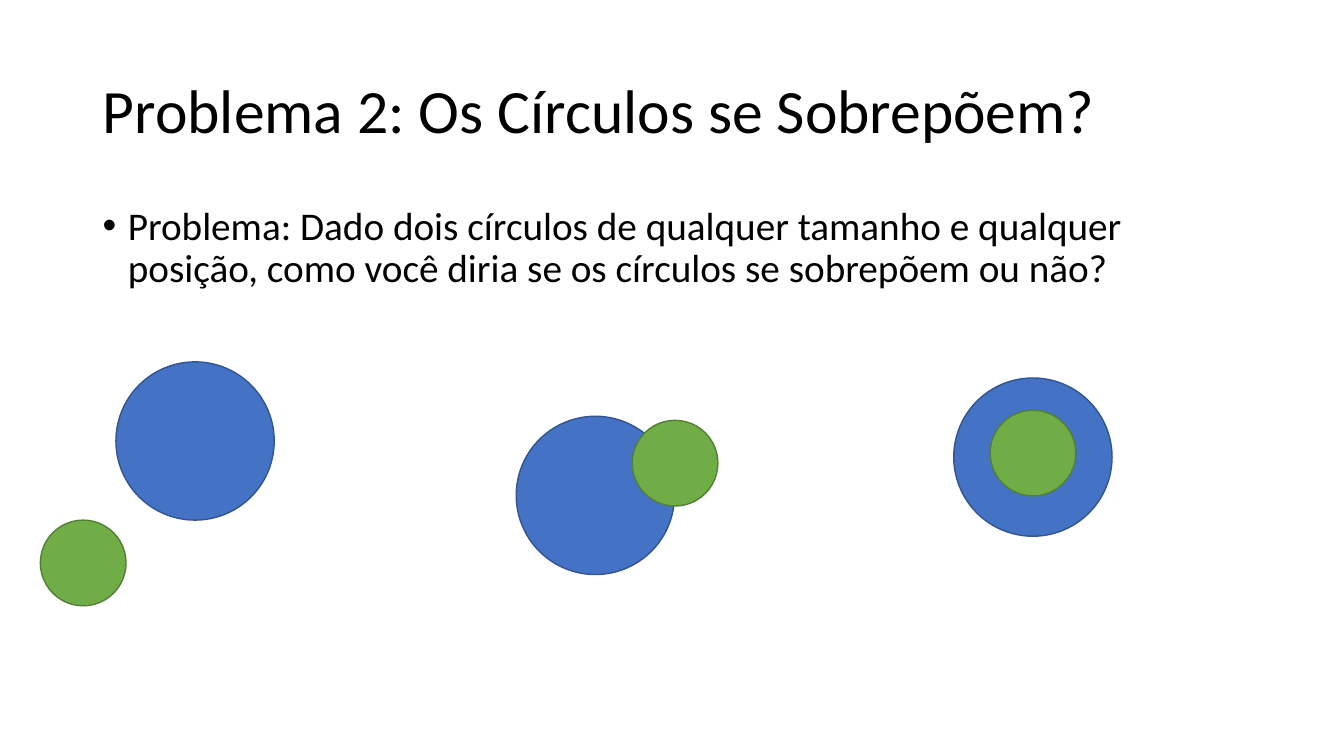
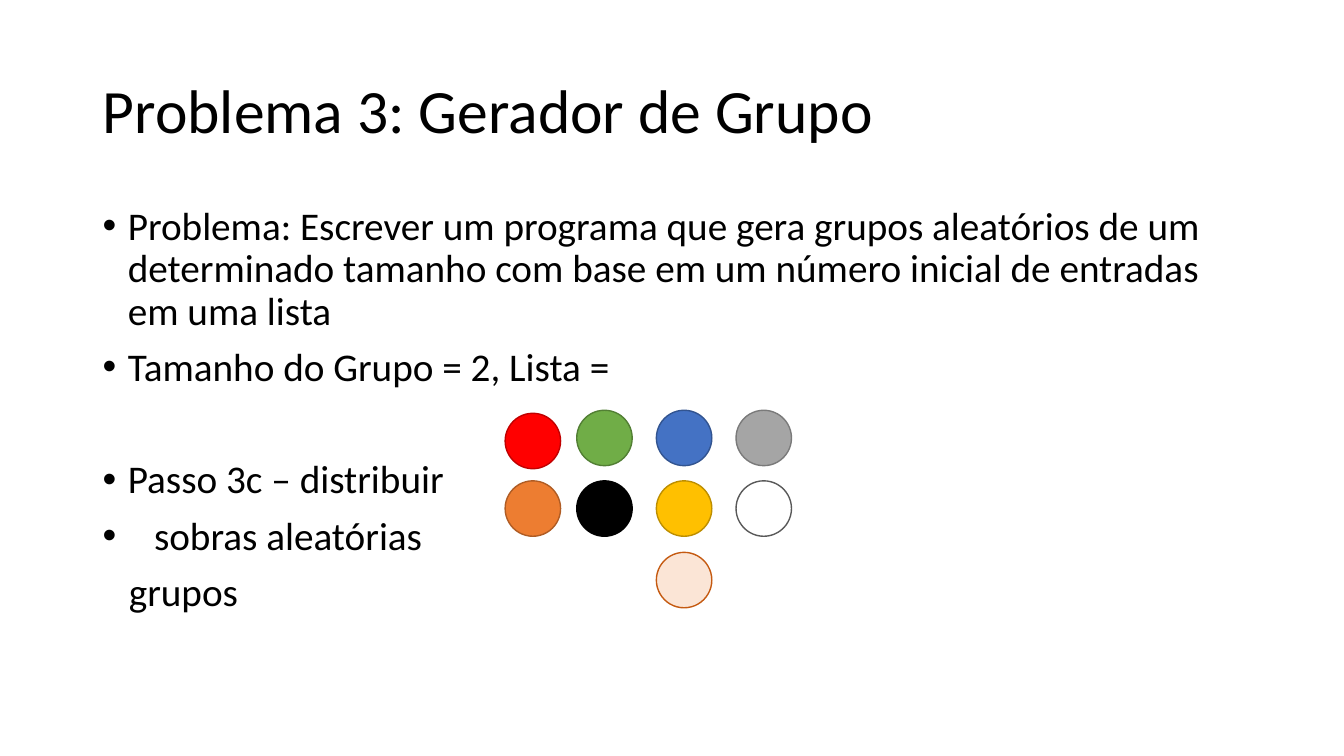
from dataclasses import dataclass

from lxml.etree import SubElement
from pptx import Presentation
from pptx.dml.color import RGBColor
from pptx.enum.shapes import MSO_SHAPE
from pptx.enum.text import MSO_ANCHOR, MSO_AUTO_SIZE, PP_ALIGN
from pptx.oxml.ns import qn
from pptx.util import Inches, Pt

FONT = "Calibri"
BLACK = RGBColor(0x00, 0x00, 0x00)
WHITE = RGBColor(0xFF, 0xFF, 0xFF)
BLUE = RGBColor(0x44, 0x72, 0xC4)
BLUE_EDGE = RGBColor(0x32, 0x54, 0x90)
GREEN = RGBColor(0x70, 0xAD, 0x47)
GREEN_EDGE = RGBColor(0x52, 0x7F, 0x34)
RED = RGBColor(0xFF, 0x00, 0x00)
RED_EDGE = RGBColor(0xC0, 0x00, 0x00)
GRAY = RGBColor(0xA5, 0xA5, 0xA5)
GRAY_EDGE = RGBColor(0x7A, 0x7A, 0x7A)
GOLD = RGBColor(0xFF, 0xC0, 0x00)
GOLD_EDGE = RGBColor(0xBD, 0x8E, 0x00)
ORANGE = RGBColor(0xED, 0x7D, 0x31)
ORANGE_EDGE = RGBColor(0xAF, 0x5C, 0x24)
PEACH = RGBColor(0xFB, 0xE5, 0xD6)
PEACH_EDGE = RGBColor(0xC5, 0x5A, 0x11)
WHITE_EDGE = RGBColor(0x59, 0x59, 0x59)

MARGIN, CONTENT_WIDTH = 0.92, 11.5
LARGE, SMALL, TOKEN = 1.57, 0.85, 0.55
TOKEN_COLUMNS = (5.01, 5.72, 6.51, 7.3)
TOKEN_ROWS = (4.07, 4.77, 5.48)


@dataclass(frozen=True)
class Circle:
    left: float
    top: float
    diameter: float
    fill: RGBColor
    edge: RGBColor


@dataclass(frozen=True)
class Item:
    text: str
    space_before: float = 10
    indent: float = 0.25
    bullet: bool = True


def write_text(para, text: str, *, size: float, space_before: float = 0,
               indent: float = 0, bullet: bool = False) -> None:
    para.alignment = PP_ALIGN.LEFT
    para.line_spacing = 0.9
    para.space_before = Pt(space_before)
    properties = para._p.get_or_add_pPr()
    properties.set("marL", str(Inches(indent)))
    properties.set("indent", str(Inches(-indent if bullet else 0)))
    if bullet:
        SubElement(properties, qn("a:buFont"), typeface="Arial")
        SubElement(properties, qn("a:buChar"), char="•")
    else:
        SubElement(properties, qn("a:buNone"))
    span = para.add_run()
    span.text = text
    span.font.name = FONT
    span.font.size = Pt(size)
    span.font.color.rgb = BLACK


def add_body(page, items: list[Item]) -> None:
    box = page.shapes.add_textbox(Inches(MARGIN), Inches(2), Inches(CONTENT_WIDTH), Inches(4.76))
    frame = box.text_frame
    frame.word_wrap = True
    for index, item in enumerate(items):
        para = frame.add_paragraph() if index else frame.paragraphs[0]
        write_text(para, item.text, size=28, space_before=item.space_before if index else 0,
                   indent=item.indent, bullet=item.bullet)


def add_circle(page, circle: Circle) -> None:
    shape = page.shapes.add_shape(
        MSO_SHAPE.OVAL, Inches(circle.left), Inches(circle.top),
        Inches(circle.diameter), Inches(circle.diameter))
    shape.shadow.inherit = False
    shape.fill.solid()
    shape.fill.fore_color.rgb = circle.fill
    shape.line.color.rgb = circle.edge
    shape.line.width = Pt(1)


def add_page(deck, title: str, items: list[Item], circles: list[Circle]) -> None:
    page = deck.slides.add_slide(deck.slide_layouts[5])
    heading = page.shapes.title
    heading.left, heading.top = Inches(MARGIN), Inches(0.4)
    heading.width, heading.height = Inches(CONTENT_WIDTH), Inches(1.45)
    frame = heading.text_frame
    frame.auto_size = MSO_AUTO_SIZE.NONE
    frame.vertical_anchor = MSO_ANCHOR.MIDDLE
    write_text(frame.paragraphs[0], title, size=44)
    add_body(page, items)
    for circle in circles:
        add_circle(page, circle)


def circle_pair(large_at: tuple[float, float], small_at: tuple[float, float]) -> list[Circle]:
    return [Circle(*large_at, LARGE, BLUE, BLUE_EDGE),
            Circle(*small_at, SMALL, GREEN, GREEN_EDGE)]


def token(column: int, row: int, fill: RGBColor, edge: RGBColor, drop: float = 0) -> Circle:
    return Circle(TOKEN_COLUMNS[column], TOKEN_ROWS[row] + drop, TOKEN, fill, edge)


def main() -> None:
    deck = Presentation()
    deck.slide_width, deck.slide_height = Inches(13.33), Inches(7.5)
    add_page(
        deck,
        "Problema 2: Os Círculos se Sobrepõem?",
        [Item("Problema: Dado dois círculos de qualquer tamanho e qualquer posição, "
              "como você diria se os círculos se sobrepõem ou não?")],
        [*circle_pair((1.15, 3.59), (0.4, 5.16)),
         *circle_pair((5.12, 4.13), (6.27, 4.17)),
         *circle_pair((9.46, 3.75), (9.82, 4.07))])
    add_page(
        deck,
        "Problema 3: Gerador de Grupo",
        [Item("Problema: Escrever um programa que gera grupos aleatórios de um determinado "
              "tamanho com base em um número inicial de entradas em uma lista"),
         Item("Tamanho do Grupo = 2, Lista ="),
         Item("Passo 3c – distribuir", space_before=50),
         Item("sobras aleatórias", indent=0.51),
         Item("grupos", indent=0.26, bullet=False)],
        [token(0, 0, RED, RED_EDGE, drop=0.03),
         token(1, 0, GREEN, GREEN_EDGE),
         token(2, 0, BLUE, BLUE_EDGE),
         token(3, 0, GRAY, GRAY_EDGE),
         token(0, 1, ORANGE, ORANGE_EDGE),
         token(1, 1, BLACK, BLACK),
         token(2, 1, GOLD, GOLD_EDGE),
         token(3, 1, WHITE, WHITE_EDGE),
         token(2, 2, PEACH, PEACH_EDGE)])
    deck.save("out.pptx")


if __name__ == "__main__":
    main()
